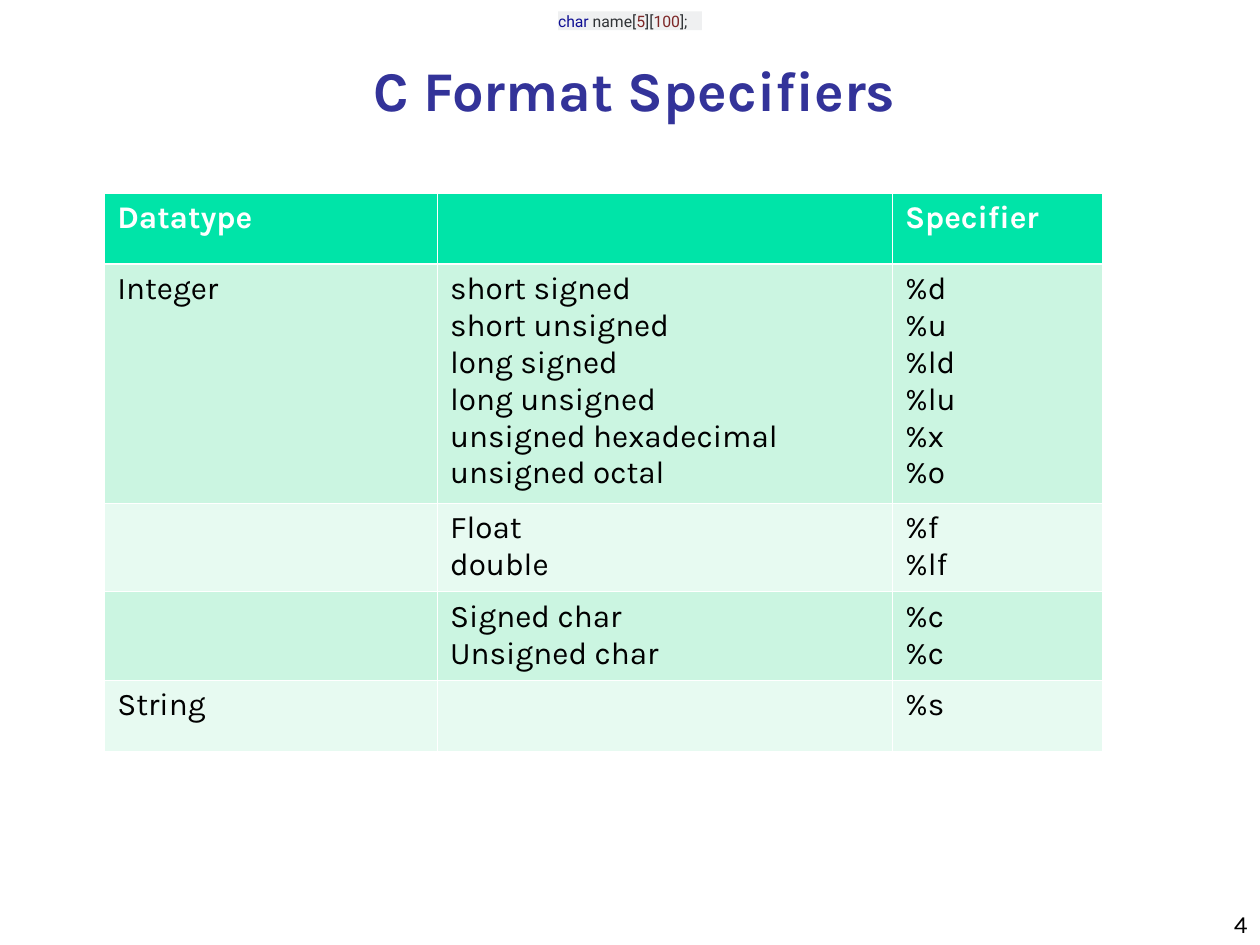
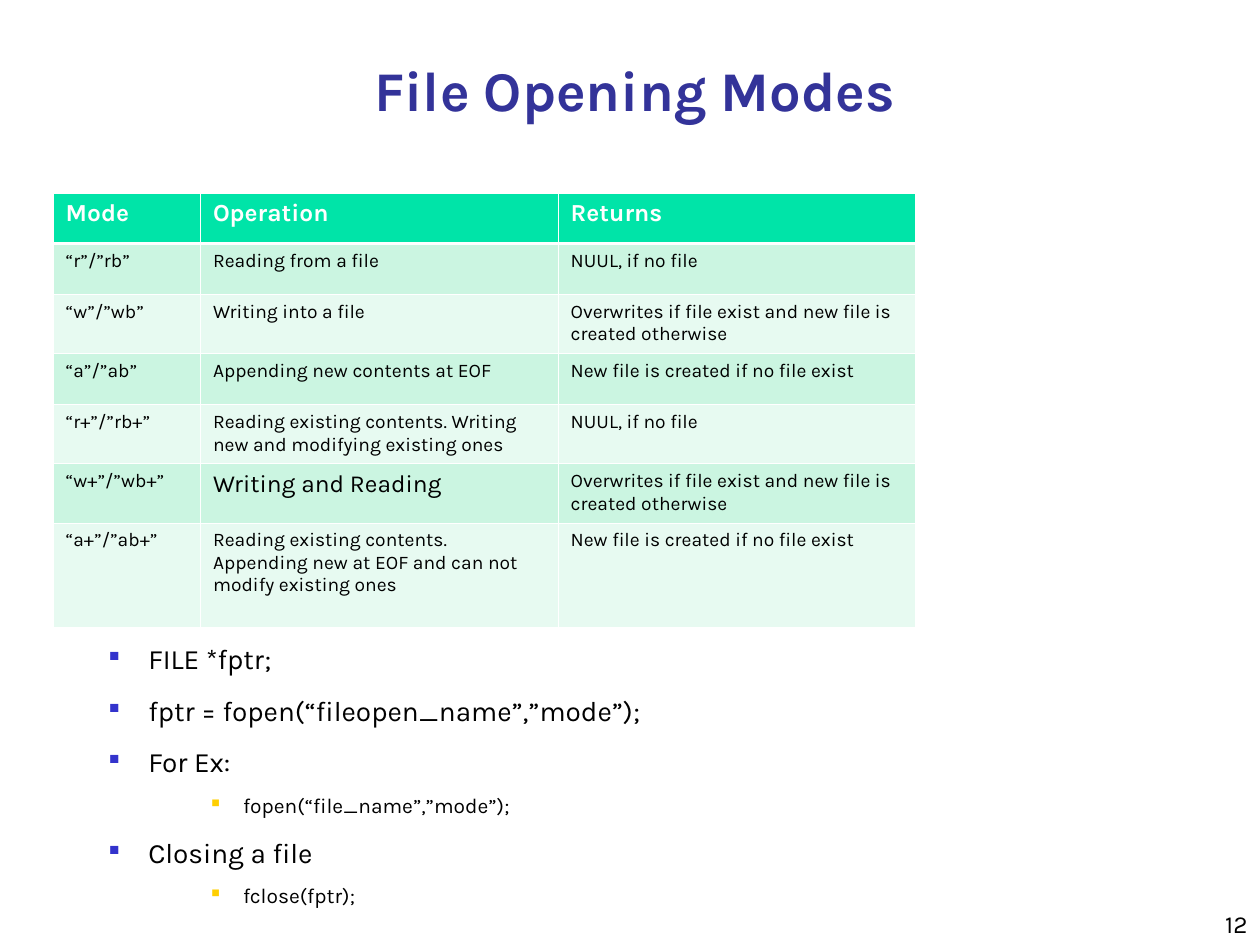
from dataclasses import dataclass

from lxml.etree import SubElement
from pptx import Presentation
from pptx.dml.color import RGBColor
from pptx.enum.shapes import MSO_SHAPE
from pptx.enum.text import MSO_ANCHOR, PP_ALIGN
from pptx.oxml import parse_xml
from pptx.oxml.ns import nsdecls, qn
from pptx.util import Cm, Pt


@dataclass(frozen=True)
class Theme:
    font: str = "Karla"
    mono: str = "Roboto"
    title: str = "333399"
    ink: str = "000000"
    white: str = "FFFFFF"
    head: str = "00E4A8"
    bands: tuple = ("CBF5E1", "E7FAF1")
    code: str = "EFF0F1"
    word: str = "101094"
    plain: str = "303336"
    digit: str = "7D2727"
    title_size: float = 32
    page_size: float = 14
    code_size: float = 9
    thin: float = 0.45
    thick: float = 1.47


theme = Theme()


def write(frame, text, size, color=theme.ink, bold=False, align=PP_ALIGN.LEFT):
    """Fill a text frame, one paragraph per line, in one style."""
    frame.word_wrap = True
    frame.text = text
    for para in frame.paragraphs:
        para.alignment = align
        para.font.name = theme.font
        para.font.size = Pt(size)
        para.font.bold = bold
        para.font.color.rgb = RGBColor.from_string(color)


def add_grid(slide, left, widths, heights, rows, head_size, size):
    """Add a banded table with white rules and a thicker rule under its head."""
    table = slide.shapes.add_table(
        len(rows), len(widths), Cm(left), Cm(3.89),
        Cm(sum(widths)), Cm(sum(heights))).table
    table.horz_banding = False
    for col, width in zip(table.columns, widths):
        col.width = Cm(width)
    for r, (row, height) in enumerate(zip(rows, heights)):
        table.rows[r].height = Cm(height)
        head = r == 0
        fill = theme.head if head else theme.bands[(r - 1) % 2]
        rules = {"lnL": theme.thin, "lnR": theme.thin,
                 "lnT": theme.thick if r == 1 else theme.thin,
                 "lnB": theme.thick if head else theme.thin}
        for c, text in enumerate(row):
            cell = table.cell(r, c)
            write(cell.text_frame, text, head_size if head else size,
                  theme.white if head else theme.ink, head)
            cell.fill.solid()
            cell.fill.fore_color.rgb = RGBColor.from_string(fill)
            props = cell._tc.get_or_add_tcPr()
            for i, (tag, width) in enumerate(rules.items()):
                props.insert(i, parse_xml(
                    f'<a:{tag} {nsdecls("a")} w="{Pt(width)}"><a:solidFill>'
                    f'<a:srgbClr val="{theme.white}"/></a:solidFill></a:{tag}>'))
    return table


deck = Presentation()
deck.slide_width, deck.slide_height = Cm(25.4), Cm(19.05)

# Shared title and page number
slides = []
for title, page in (("C Format Specifiers", "4"), ("File Opening Modes", "12")):
    slide = deck.slides.add_slide(deck.slide_layouts[6])
    slides.append(slide)
    box = slide.shapes.add_textbox(Cm(1.47), Cm(0.84), Cm(22.66), Cm(1.9))
    box.text_frame.vertical_anchor = MSO_ANCHOR.MIDDLE
    write(box.text_frame, title, theme.title_size, theme.title, True,
          PP_ALIGN.CENTER)
    box = slide.shapes.add_textbox(Cm(20.12), Cm(17.78), Cm(5.28), Cm(1.27))
    box.text_frame.vertical_anchor = MSO_ANCHOR.BOTTOM
    write(box.text_frame, page, theme.page_size, align=PP_ALIGN.RIGHT)
formats, modes = slides

# Format specifiers: code snippet and table
chip = formats.shapes.add_shape(
    MSO_SHAPE.RECTANGLE, Cm(11.25), Cm(0.23), Cm(2.9), Cm(0.38))
chip.shadow.inherit = False
chip.fill.solid()
chip.fill.fore_color.rgb = RGBColor.from_string(theme.code)
chip.line.fill.background()
frame = chip.text_frame
frame.margin_left = frame.margin_right = 0
frame.margin_top = frame.margin_bottom = 0
frame.vertical_anchor = MSO_ANCHOR.MIDDLE
para = frame.paragraphs[0]
para.alignment = PP_ALIGN.LEFT
para.font.name = theme.mono
para.font.size = Pt(theme.code_size)
for text, color in (("char", theme.word), (" name[", theme.plain),
                    ("5", theme.digit), ("][", theme.plain),
                    ("100", theme.digit), ("];", theme.plain)):
    run = para.add_run()
    run.text = text
    run.font.color.rgb = RGBColor.from_string(color)

kinds = ("short signed", "short unsigned", "long signed", "long unsigned",
         "unsigned hexadecimal", "unsigned octal")
signs = ("%d", "%u", "%ld", "%lu", "%x", "%o")
add_grid(formats, 2.11, (6.71, 9.17, 4.24), (1.43, 4.83, 1.78, 1.78, 1.43), (
    ("Datatype", "", "Specifier"),
    ("Integer", "\n".join(kinds), "\n".join(signs)),
    ("", "Float\ndouble", "%f\n%lf"),
    ("", "Signed char\nUnsigned char", "%c\n%c"),
    ("String", "", "%s"),
), 18, 18)

# File modes: table and bulleted calls
missing = "NUUL, if no file"
renew = "Overwrites if file exist and new file is created otherwise"
create = "New file is created if no file exist"
grid = add_grid(
    modes, 1.07, (2.97, 7.21, 7.21),
    (1.02, 1.02, 1.19, 1.04, 1.19, 1.19, 2.11), (
        ("Mode", "Operation", "Returns"),
        ("“r”/”rb”", "Reading from a file", missing),
        ("“w”/”wb”", "Writing into a file", renew),
        ("“a”/”ab”", "Appending new contents at EOF", create),
        ("“r+”/”rb+”", "Reading existing contents. Writing new and "
         "modifying existing ones", missing),
        ("“w+”/”wb+”", "Writing and Reading", renew),
        ("“a+”/”ab+”", "Reading existing contents. Appending new at EOF "
         "and can not modify existing ones", create),
    ), 14, 11)
grid.cell(5, 1).text_frame.paragraphs[0].font.size = Pt(14)

# Each level: size, space before, margin, hanging indent, bullet colour, bullet %
levels = ((16, 4.5, 2.54, 0.79, "3333CC", 50),
          (12, 3.4, 4.45, 0.64, "FFCF01", 55))
calls = ((0, "FILE *fptr;"), (0, "fptr = fopen(“fileopen_name”,”mode”);"),
         (0, "For Ex:"), (1, "fopen(“file_name”,”mode”);"),
         (0, "Closing a file"), (1, "fclose(fptr);"))
box = modes.shapes.add_textbox(Cm(0.2), Cm(12.6), Cm(24.77), Cm(5.82))
box.text_frame.vertical_anchor = MSO_ANCHOR.BOTTOM
write(box.text_frame, "\n".join(text for _, text in calls), levels[0][0])
for para, (level, _) in zip(box.text_frame.paragraphs, calls):
    size, space, margin, hang, color, scale = levels[level]
    para.level = level
    para.font.size = Pt(size)
    para.line_spacing = 1.3
    para.space_before = Pt(space)
    props = para._p.get_or_add_pPr()
    props.set("marL", str(Cm(margin)))
    props.set("indent", str(-Cm(hang)))
    font = props.find(qn("a:defRPr"))
    tint = SubElement(props, qn("a:buClr"))
    SubElement(tint, qn("a:srgbClr"), val=color)
    SubElement(props, qn("a:buSzPct"), val=str(scale * 1000))
    SubElement(props, qn("a:buChar"), char="■")
    props.append(font)

deck.save("out.pptx")
